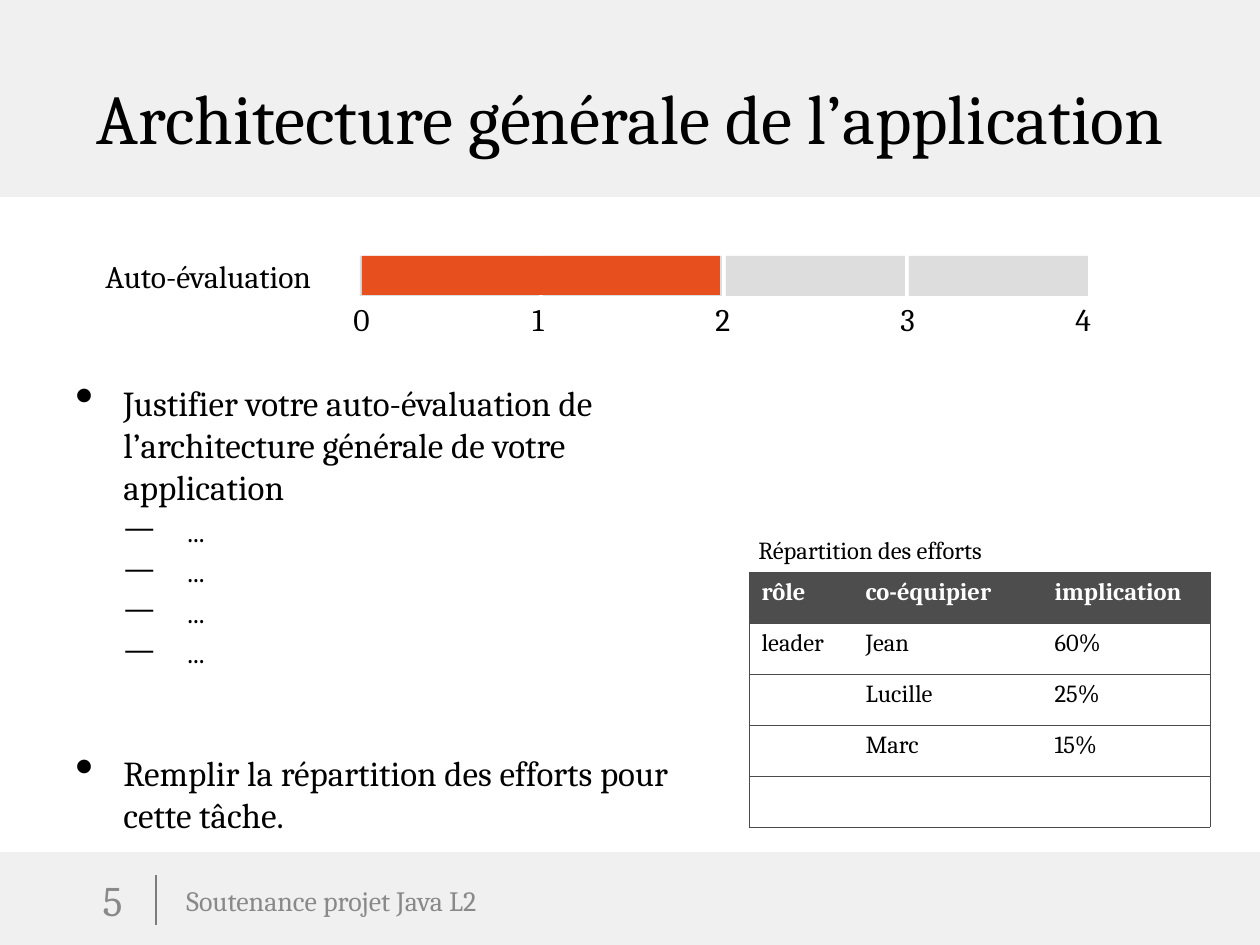
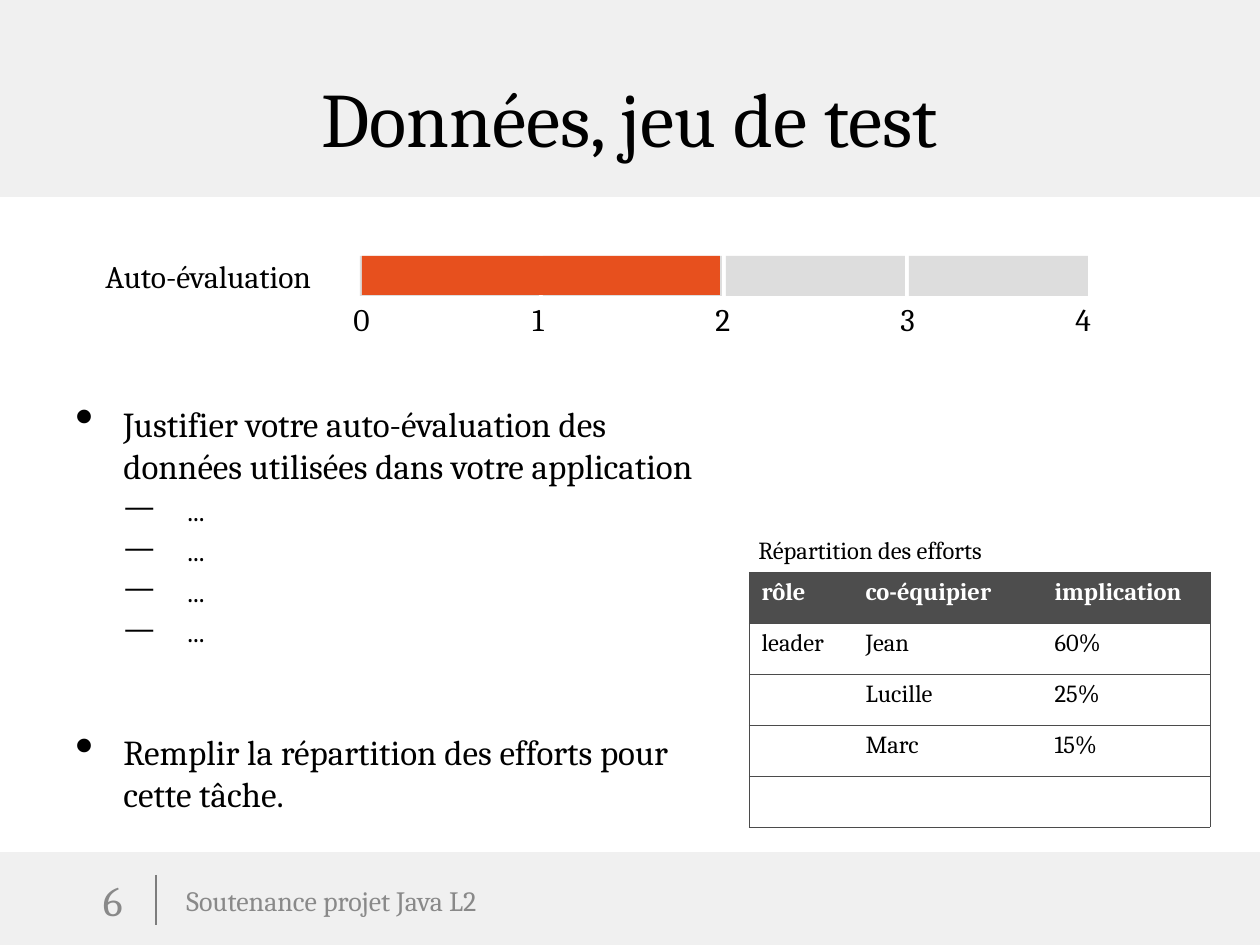
from lxml import etree
from pptx import Presentation
from pptx.dml.color import RGBColor
from pptx.enum.shapes import MSO_CONNECTOR, MSO_SHAPE
from pptx.enum.text import MSO_ANCHOR, PP_ALIGN
from pptx.oxml.ns import qn
from pptx.util import Pt

RECT = MSO_SHAPE.RECTANGLE
STRAIGHT = MSO_CONNECTOR.STRAIGHT
TOP, MIDDLE = MSO_ANCHOR.TOP, MSO_ANCHOR.MIDDLE
LEFT, CENTER, RIGHT = PP_ALIGN.LEFT, PP_ALIGN.CENTER, PP_ALIGN.RIGHT

BLACK = RGBColor(0x00, 0x00, 0x00)
WHITE = RGBColor(0xFF, 0xFF, 0xFF)
BAND = RGBColor(0xF0, 0xF0, 0xF0)
RULE = RGBColor(0x7D, 0x7D, 0x7D)
MUTED = RGBColor(0x89, 0x89, 0x89)
TRACK = RGBColor(0xDD, 0xDD, 0xDD)
SCORE = RGBColor(0xE7, 0x50, 0x1E)
HEAD = RGBColor(0x4D, 0x4D, 0x4D)
EDGE = RGBColor(0x4B, 0x4B, 0x4B)

FONT = "Cambria"
WIDTH, HEIGHT = 1260, 945
PLAIN_TABLE = "{2D5ABB26-0587-4C30-8999-92F81FD0307C}"

EFFORTS = [
    ("rôle", "co-équipier", "implication"),
    ("leader", "Jean", "60%"),
    ("", "Lucille", "25%"),
    ("", "Marc", "15%"),
    ("", "", ""),
]
SLIDES = [
    (5, "Architecture générale de l’application", 40,
     "Justifier votre auto-évaluation de l’architecture générale de votre application"),
    (6, "Données, jeu de test", 44,
     "Justifier votre auto-évaluation des données utilisées dans votre application"),
]


def px(n):
    return round(n * 914400 / 126)


def add(parent, tag, **attrs):
    return etree.SubElement(parent, qn(tag), attrs)


class Deck:
    def __init__(self):
        self.prs = Presentation()
        self.prs.slide_width, self.prs.slide_height = px(WIDTH), px(HEIGHT)

    def new(self):
        self.slide = self.prs.slides.add_slide(self.prs.slide_layouts[6])
        self.shapes = self.slide.shapes

    def style(self, para, size, color=BLACK, bold=False):
        for run in para.runs:
            font = run.font
            font.name, font.size, font.bold = FONT, Pt(size), bold
            font.color.rgb = color

    def rect(self, x, y, w, h, fill, line=None):
        shape = self.shapes.add_shape(RECT, px(x), px(y), px(w), px(h))
        shape.shadow.inherit = False
        shape.fill.solid()
        shape.fill.fore_color.rgb = fill
        if line is None:
            shape.line.fill.background()
        else:
            shape.line.color.rgb = fill
            shape.line.width = Pt(line)

    def rule(self, x, top, end):
        line = self.shapes.add_connector(STRAIGHT, px(x), px(top), px(x), px(end))
        line.line.color.rgb = RULE
        line.line.width = Pt(1.5)
        add(line._element.spPr, "a:effectLst")

    def frame(self, x, y, w, h, anchor=TOP, wrap=True):
        frame = self.shapes.add_textbox(px(x), px(y), px(w), px(h)).text_frame
        frame.word_wrap = wrap
        frame.vertical_anchor = anchor
        return frame

    def text(self, x, y, w, h, words, size, color=BLACK, align=LEFT,
             anchor=TOP, wrap=True):
        frame = self.frame(x, y, w, h, anchor, wrap)
        frame.text = words
        para = frame.paragraphs[0]
        para.alignment = align
        self.style(para, size, color)

    def item(self, para, words, size, gap, level=0):
        """Fill one bulleted paragraph, with gap points above it."""
        mark, scale, margin, hang = [("•", 150, 48, 48), ("—", 100, 112, 62)][level]
        para.text = words
        para.level = level
        para.space_before = Pt(gap)
        props = para._p.get_or_add_pPr()
        props.set("marL", str(px(margin)))
        props.set("indent", str(-px(hang)))
        add(add(props, "a:buClr"), "a:srgbClr", val=str(BLACK))
        add(props, "a:buSzPct", val=str(scale * 1000))
        add(props, "a:buChar", char=mark)
        self.style(para, size)

    def body(self, x, y, w, h, first, last):
        frame = self.frame(x, y, w, h, MIDDLE)
        self.item(frame.paragraphs[0], first, 20, 0)
        for _ in range(4):
            self.item(frame.add_paragraph(), "...", 16, 4, 1)
        self.item(frame.add_paragraph(), last, 20, 47)

    def edge(self, cell, sides):
        props = cell._tc.get_or_add_tcPr()
        for i, side in enumerate(sides):
            line = etree.Element(qn("a:ln" + side), w=str(Pt(0.34)))
            add(add(line, "a:solidFill"), "a:srgbClr", val=str(EDGE))
            props.insert(i, line)

    def table(self, x, y, cols, row, data):
        grid = self.shapes.add_table(len(data), len(cols), px(x), px(y),
                                     px(sum(cols)), px(row * len(data))).table
        grid.first_row = grid.horz_banding = False
        grid._tbl.tblPr.find(qn("a:tableStyleId")).text = PLAIN_TABLE
        for col, w in zip(grid.columns, cols):
            col.width = px(w)
        for r, words in enumerate(data):
            grid.rows[r].height = px(row)
            for c, word in enumerate(words):
                cell = grid.cell(r, c)
                cell.text = word
                self.style(cell.text_frame.paragraphs[0], 14,
                           BLACK if r else WHITE, r == 0)
                if r:
                    cell.fill.background()
                else:
                    cell.fill.solid()
                    cell.fill.fore_color.rgb = HEAD
                left = "L" if c == 0 else ""
                right = "R" if c == len(cols) - 1 else ""
                self.edge(cell, left + right + "TB")

    def base(self, number, title, size):
        """Draw the bands, the title and the footer."""
        self.rect(0, 854, WIDTH, 91, BAND, 2)
        self.rule(156, 875, 925)
        self.rect(0, 0, WIDTH, 195, BAND, 2)
        self.text(174, 875, 615, 50, "Soutenance projet Java L2", 16, MUTED,
                  anchor=MIDDLE)
        self.text(25, 875, 110, 50, str(number), 24, MUTED, RIGHT, MIDDLE)
        self.text(63, 38, 1134, 157, title, size, BLACK, CENTER, MIDDLE)

    def gauge(self, score):
        x, y, step, w = 360, 256, 183, 179
        self.text(93, 251, 287, 50, "Auto-évaluation", 18)
        for i in range(4):
            self.rect(x + i * step, y, w, 40, TRACK)
        for i, tick in enumerate((341, 520, 703, 888, 1063)):
            self.text(tick, 294, 39, 50, str(i), 18)
        self.rect(x + 2, y, score * w, 39, SCORE)


def main():
    deck = Deck()
    for number, title, size, ask in SLIDES:
        deck.new()
        deck.base(number, title, size)
        deck.gauge(2)
        deck.body(63, 373, 667, 471, ask,
                  "Remplir la répartition des efforts pour cette tâche.")
        deck.table(749, 572, (104, 189, 168), 51, EFFORTS)
        deck.text(746, 529, 249, 43, "Répartition des efforts", 14, wrap=False)
    deck.prs.save("out.pptx")


if __name__ == "__main__":
    main()
